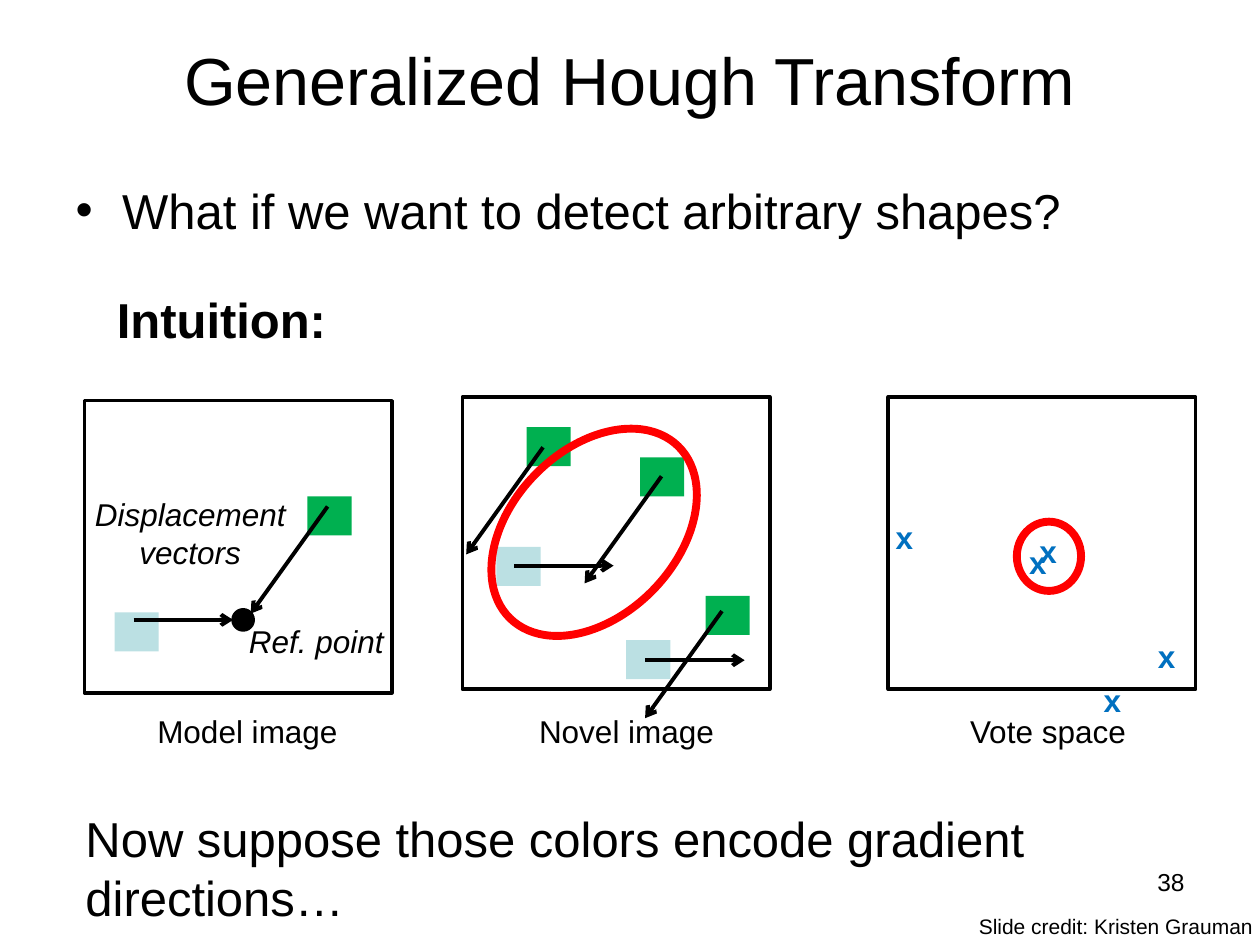
from dataclasses import dataclass

from lxml import etree
from pptx import Presentation
from pptx.dml.color import RGBColor
from pptx.enum import shapes, text
from pptx.oxml import ns
from pptx.util import Inches, Pt

COLS, ROWS = 100, 75
BLACK, RED, GREEN, PALE, BLUE = "000000", "FF0000", "00B050", "BBE0E3", "0070C0"
LEFT, MID, RIGHT = text.PP_ALIGN.LEFT, text.PP_ALIGN.CENTER, text.PP_ALIGN.RIGHT
RECT, OVAL = shapes.MSO_SHAPE.RECTANGLE, shapes.MSO_SHAPE.OVAL
VECTORS = {GREEN: (-6.1, 8.5), PALE: (7.9, 0)}  # patch colour -> displacement

deck = Presentation()
deck.slide_width, deck.slide_height = Inches(10), Inches(7.5)
slide = deck.slides.add_slide(deck.slide_layouts[1])


@dataclass
class Box:
    """Place in grid columns and rows."""
    x: float
    y: float
    w: float
    h: float


@dataclass
class Label:
    words: str
    box: Box
    size: float = 18
    align: text.PP_ALIGN = LEFT
    color: str = BLACK
    bold: bool = False
    italic: bool = False
    wrap: bool = True


@dataclass
class Patch:
    """A coloured patch and the start of its arrow, relative to the patch."""
    x: float
    y: float
    color: str
    dx: float
    dy: float


def col(n: float) -> int:
    return round(deck.slide_width * n / COLS)


def row(n: float) -> int:
    return round(deck.slide_height * n / ROWS)


def rgb(code: str) -> RGBColor:
    return RGBColor.from_string(code)


def span(box: Box) -> tuple:
    return col(box.x), row(box.y), col(box.w), row(box.h)


def write(shape, label: Label):
    frame = shape.text_frame
    frame.word_wrap = label.wrap
    para = frame.paragraphs[0]
    para.text, para.alignment, para.space_before = label.words, label.align, Pt(0)
    style = {"name": "Arial", "size": Pt(label.size),
             "bold": label.bold, "italic": label.italic}
    font = para.runs[0].font
    for key, val in style.items():
        setattr(font, key, val)
    font.color.rgb = rgb(label.color)
    return para


def hold(shape, label: Label):
    """Move a placeholder and fill it with text."""
    for key, val in zip(("left", "top", "width", "height"), span(label.box)):
        setattr(shape, key, val)
    return write(shape, label)


def put(label: Label) -> None:
    write(slide.shapes.add_textbox(*span(label.box)), label)


def draw(kind, box: Box, fill: str = "", line: str = "", width: float = 2, turn: float = 0) -> None:
    shape = slide.shapes.add_shape(kind, *span(box))
    shape.shadow.inherit = False
    shape.rotation = turn
    if fill:
        shape.fill.solid()
        shape.fill.fore_color.rgb = rgb(fill)
    else:
        shape.fill.background()
    if line:
        shape.line.color.rgb = rgb(line)
        shape.line.width = Pt(width)
    else:
        shape.line.fill.background()


def point(patch: Patch) -> None:
    """Draw the displacement arrow of a patch."""
    x, y = patch.x + patch.dx, patch.y + patch.dy
    dx, dy = VECTORS[patch.color]
    arrow = slide.shapes.add_connector(shapes.MSO_CONNECTOR.STRAIGHT,
                                       col(x), row(y), col(x + dx), row(y + dy))
    arrow.line.color.rgb = rgb(BLACK)
    arrow.line.width = Pt(2.25)
    etree.SubElement(arrow.line._get_or_add_ln(), ns.qn("a:tailEnd"), type="arrow")
    etree.SubElement(arrow._element.spPr, ns.qn("a:effectLst"))


def scene(patches: list) -> None:
    for patch in patches:
        draw(RECT, Box(patch.x, patch.y, 3.5, 3.1), fill=patch.color)
    for patch in patches:
        point(patch)


hold(slide.shapes.title, Label("Generalized Hough Transform", Box(0, 0, 100, 12.5), 38, MID))
slide.shapes.title.text_frame.vertical_anchor = text.MSO_ANCHOR.MIDDLE
item = hold(slide.placeholders[1],
            Label("What if we want to detect arbitrary shapes?", Box(5, 13.8, 90, 8.2), 28))
props = item._p.get_or_add_pPr()
for key, val in {"marL": 0.37, "indent": -0.37}.items():
    props.set(key, str(Inches(val)))
etree.SubElement(props, ns.qn("a:buFont"), typeface="Arial")
etree.SubElement(props, ns.qn("a:buChar"), char="•")

for x, y in ((6.7, 31.8), (36.7, 31.5), (70.5, 31.5)):
    draw(RECT, Box(x, y, 24.4, 23.2), line=BLACK)
for words, x, w in (("Model image", 11.5, 16.5), ("Novel image", 41.8, 16),
                    ("Vote space", 76, 14.5)):
    put(Label(words, Box(x, 56, w, 4), wrap=False))

draw(OVAL, Box(18.5, 48.4, 1.6, 1.6), fill=BLACK, line=BLACK)
scene([Patch(9.1, 48.6, PALE, 1.5, 0.6), Patch(24.4, 39.4, GREEN, 1.6, 0.8)])
scene([Patch(41.8, 33.9, GREEN, 1.3, 1.6), Patch(50.8, 36.3, GREEN, 1.7, 1.5),
       Patch(39.4, 43.4, PALE, 1.4, 1.5), Patch(49.7, 50.8, PALE, 1.5, 1.6),
       Patch(56, 47.3, GREEN, 1.3, 1.2)])

for x, y in ((80.7, 42.6), (81.5, 41.7), (70.1, 40.6), (86.6, 53.6), (90.9, 50.1)):
    put(Label("x", Box(x, y, 9.8, 4), color=BLUE, bold=True))
draw(OVAL, Box(80.7, 41.4, 5.1, 5.5), line=RED, width=4.5)
draw(OVAL, Box(40.6, 32.7, 13.1, 19.1), line=RED, width=4.5, turn=44.3)

for label in (
    Label("Now suppose those colors encode gradient directions…", Box(5.8, 63.7, 94.1, 10.4), 28),
    Label("Intuition:", Box(8.3, 22.5, 22, 5.7), 28, bold=True),
    Label("Ref. point", Box(16, 48.9, 18.2, 4), align=MID, italic=True),
    Label("Displacement vectors", Box(6, 38.8, 18.2, 7.1), align=MID, italic=True),
    Label("38", Box(71.7, 68.3, 23.3, 5.2), 14, RIGHT),
    Label("Slide credit: Kristen Grauman", Box(76.7, 72, 26.7, 3), 12),
):
    put(label)

deck.save("out.pptx")
